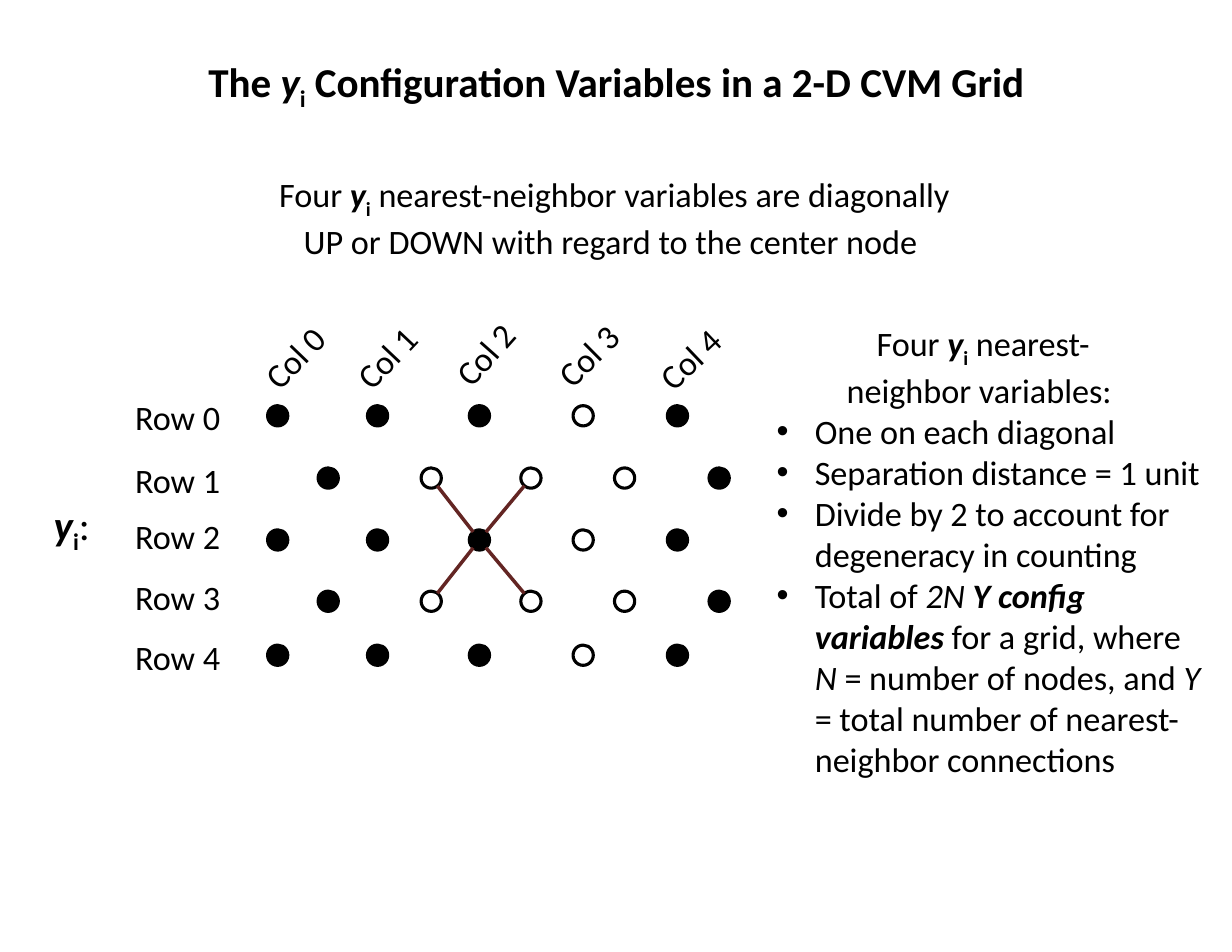
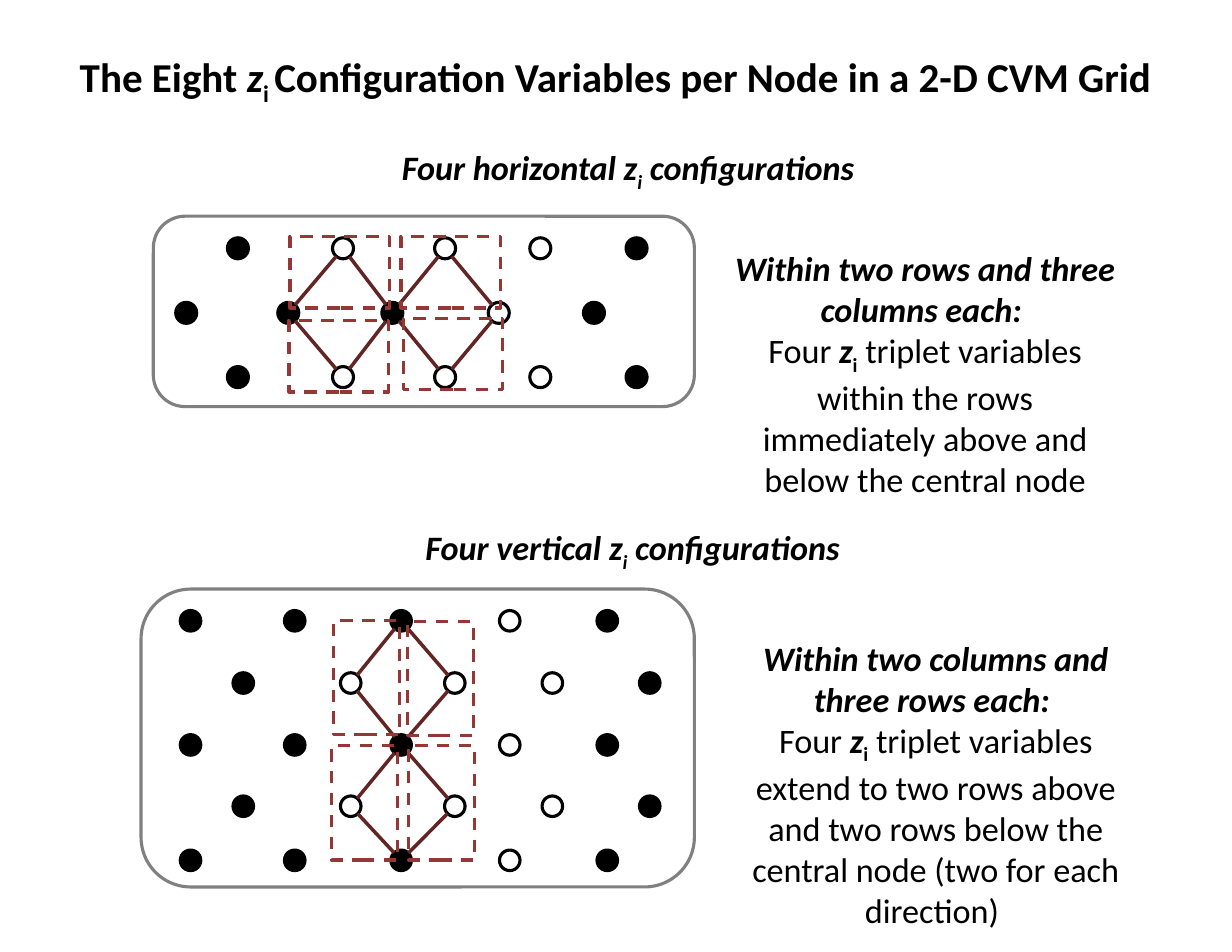
"""Build two slides on the y and z configuration variables of a 2-D CVM grid."""
from dataclasses import dataclass
from math import hypot
from typing import NamedTuple, Optional

from lxml import etree
from pptx import Presentation
from pptx import util as u
from pptx.dml import color
from pptx.enum import dml, shapes, text
from pptx.oxml import ns
from pptx.shapes import autoshape, base, shapetree
from pptx.slide import Slide
from pptx.text import text as txt

FONT = "Calibri"
INK, LINK, TRIPLET, FRAME = "000000", "632523", "953735", "808080"
TITLE_SIZE, BODY_SIZE = 26.4, 22
TITLE_AND_BODY, TITLE_ONLY = 1, 5
CENTER, LEFT = text.PP_ALIGN.CENTER, text.PP_ALIGN.LEFT
FILLED = {0: (True, True, True, False, True), 1: (True, False, False, False, True)}


class Box(NamedTuple):
    left: float
    top: float
    width: float
    height: float


class Run(NamedTuple):
    words: str
    bold: bool = False
    italic: bool = False
    sub: bool = False
    size: Optional[float] = None


class Node(NamedTuple):
    row: int
    col: int


Paragraph = list[Run]


@dataclass
class Grid:
    even_lefts: tuple[float, ...]
    odd_lefts: tuple[float, ...]
    tops: tuple[float, ...]
    size: float
    links: list[tuple[Node, Node]]
    first_row: int = 0

    def corner(self, node: Node) -> tuple[float, float]:
        odd = (node.row + self.first_row) % 2
        return (self.odd_lefts if odd else self.even_lefts)[node.col], self.tops[node.row]


def rgb(hex_code: str) -> color.RGBColor:
    return color.RGBColor.from_string(hex_code)


def symbol(letter: str) -> Paragraph:
    return [Run(letter, bold=True, italic=True), Run("i", bold=True, sub=True)]


def place(shape: base.BaseShape, box: Box) -> None:
    shape.left, shape.top, shape.width, shape.height = (u.Pt(length) for length in box)


def write(frame: txt.TextFrame, paragraphs: list[Paragraph], align: text.PP_ALIGN,
          size: float = BODY_SIZE, wrap: bool = True) -> None:
    frame.word_wrap = wrap
    frame.auto_size = text.MSO_AUTO_SIZE.SHAPE_TO_FIT_TEXT
    frame.vertical_anchor = text.MSO_ANCHOR.TOP
    for index, runs in enumerate(paragraphs):
        paragraph = frame.add_paragraph() if index else frame.paragraphs[0]
        paragraph.alignment = align
        paragraph.space_before = u.Pt(0)
        for part in runs:
            run = paragraph.add_run()
            run.text = part.words
            run.font.name = FONT
            run.font.size = u.Pt(part.size or size)
            run.font.bold, run.font.italic = part.bold, part.italic
            run.font.color.rgb = rgb(INK)
            if part.sub:
                run._r.get_or_add_rPr().set("baseline", "-25000")


def add_text(slide: Slide, box: Box, paragraphs: list[Paragraph], align: text.PP_ALIGN = CENTER,
             wrap: bool = True, rotation: float = 0) -> None:
    label = slide.shapes.add_textbox(*(u.Pt(length) for length in box))
    label.rotation = rotation
    write(label.text_frame, paragraphs, align, wrap=wrap)


def add_slide(prs: Presentation, layout: int, box: Box, title: Paragraph) -> Slide:
    slide = prs.slides.add_slide(prs.slide_layouts[layout])
    place(slide.shapes.title, box)
    write(slide.shapes.title.text_frame, [title], CENTER, TITLE_SIZE)
    return slide


def add_list(slide: Slide, box: Box, items: list[Paragraph], indent: float) -> None:
    body = slide.placeholders[1]
    place(body, box)
    write(body.text_frame, items, LEFT)
    for properties in body.element.iter(ns.qn("a:pPr")):
        properties.set("marL", str(u.Pt(indent)))
        properties.set("indent", str(-u.Pt(indent)))


def add_outline(tree: shapetree.GroupShapes, kind: shapes.MSO_SHAPE, box: Box, line: str,
                fill: Optional[str] = None, dashed: bool = False) -> autoshape.Shape:
    outline = tree.add_shape(kind, *(u.Pt(length) for length in box))
    outline.shadow.inherit = False
    outline.line.color.rgb = rgb(line)
    outline.line.width = u.Pt(2)
    if dashed:
        outline.line.dash_style = dml.MSO_LINE.DASH
    if fill:
        outline.fill.solid()
        outline.fill.fore_color.rgb = rgb(fill)
    else:
        outline.fill.background()
    return outline


def add_link(tree: shapetree.GroupShapes, grid: Grid, start: Node, end: Node) -> None:
    radius = grid.size / 2
    (x1, y1), (x2, y2) = ((x + radius, y + radius) for x, y in map(grid.corner, (start, end)))
    trim = radius / hypot(x2 - x1, y2 - y1)
    dx, dy = (x2 - x1) * trim, (y2 - y1) * trim
    ends = (x1 + dx, y1 + dy, x2 - dx, y2 - dy)
    link = tree.add_connector(shapes.MSO_CONNECTOR.STRAIGHT, *(u.Pt(value) for value in ends))
    link.line.color.rgb = rgb(LINK)
    link.line.width = u.Pt(2.25)
    etree.SubElement(link.element.spPr, ns.qn("a:effectLst"))


def add_grid(tree: shapetree.GroupShapes, grid: Grid) -> None:
    for row in range(len(grid.tops)):
        for col, filled in enumerate(FILLED[(row + grid.first_row) % 2]):
            box = Box(*grid.corner(Node(row, col)), grid.size, grid.size)
            add_outline(tree, shapes.MSO_SHAPE.OVAL, box, INK, INK if filled else None)
    for start, end in grid.links:
        add_link(tree, grid, start, end)


def add_framed_grid(slide: Slide, grid: Grid, frame: Box, triplets: list[Box]) -> None:
    tree = slide.shapes.add_group_shape().shapes
    add_grid(tree, grid)
    for triplet in triplets:
        add_outline(tree, shapes.MSO_SHAPE.RECTANGLE, triplet, TRIPLET, dashed=True)
    add_outline(tree, shapes.MSO_SHAPE.ROUNDED_RECTANGLE, frame, FRAME)


def add_z_text(slide: Slide, direction: str, heading: Box, note: Box, scope: str,
               reach: str) -> None:
    slanted = {"bold": True, "italic": True}
    add_text(slide, heading, [[Run(f"Four {direction} z", **slanted),
                               Run("i", sub=True, **slanted),
                               Run(" configurations", **slanted)]], LEFT, wrap=False)
    add_text(slide, note, [[Run(scope, **slanted)],
                           [Run("Four "), *symbol("z"), Run(f" triplet variables {reach}")]])


def build_y_slide(prs: Presentation) -> None:
    slide = add_slide(prs, TITLE_AND_BODY, Box(124, 32.5, 545, 39.5), [
        Run("The ", bold=True), *symbol("y"),
        Run(" Configuration Variables in a 2-D CVM Grid", bold=True)])
    add_list(slide, Box(492, 260, 293, 247), [
        [Run("One on each diagonal")],
        [Run("Separation distance = 1 unit")],
        [Run("Divide by 2 to account for degeneracy in counting")],
        [Run("Total of "), Run("2N ", italic=True),
         Run("Y config variables ", bold=True, italic=True),
         Run("for a grid, where "), Run("N", italic=True),
         Run(" = number of nodes, and "), Run("Y ", italic=True),
         Run("= total number of nearest-neighbor connections")]], 24.6)

    center = Node(2, 2)
    add_grid(slide.shapes, Grid(
        (172, 236.2, 301.7, 368.4, 429), (204.5, 270.7, 334.8, 395, 455.8),
        (260.8, 300.8, 340.6, 380, 414.7), 13,
        [(Node(row, col), center) for row in (1, 3) for col in (1, 2)]))

    for row, top in enumerate((251.3, 291.6, 327.6, 367.2, 405.4)):
        add_text(slide, Box(79.7, top, 70, 34), [[Run(f"Row {row}")]], LEFT, wrap=False)
    columns = ((159.8, 212.4, 313.9), (218.9, 212.4, 313.3), (282.2, 210.2, 311.6),
               (348.5, 211, 315.2), (414, 213.1, 316.4))
    for col, (left, top, rotation) in enumerate(columns):
        add_text(slide, Box(left, top, 59.8, 34), [[Run(f"Col {col}")]], LEFT, False, rotation)

    add_text(slide, Box(520, 203.8, 224, 60.5), [
        [Run("Four "), *symbol("y"), Run(" nearest-neighbor variables: ")]])
    add_text(slide, Box(21.6, 317.5, 54, 39.5), [
        [*(part._replace(size=TITLE_SIZE) for part in symbol("y")),
         Run(":", size=TITLE_SIZE), Run(" ")]])
    add_text(slide, Box(162, 108, 466, 60.5), [
        [Run("Four "), *symbol("y"), Run(" nearest-neighbor variables are diagonally UP or DOWN "
                                         "with regard to the center node ")]])


def build_z_slide(prs: Presentation) -> None:
    slide = add_slide(prs, TITLE_ONLY, Box(29.5, 29.5, 733, 39.5), [
        Run("The Eight ", bold=True), Run("z", bold=True, italic=True),
        Run("i ", bold=True, sub=True),
        Run("Configuration Variables per Node in a 2-D CVM Grid", bold=True)])

    horizontal = Grid(
        (113, 178.6, 245.5, 313.9, 375.1), (146.2, 213.8, 279.4, 340.6, 402.5),
        (152.9, 194.4, 235.7), 13.5,
        [(Node(row, col), Node(1, col + side))
         for row in (0, 2) for col in (1, 2) for side in (0, 1)], first_row=1)
    add_framed_grid(slide, horizontal, Box(98.6, 139, 347.8, 122.4), [
        Box(left, top, 64, 46)
        for left, top in ((186.5, 152), (185.8, 206), (257.8, 152), (259.2, 204.5))])

    vertical = Grid(
        (115.9, 182.9, 251.3, 321.1, 383.8), (149.8, 218.9, 285.8, 348.5, 411.1),
        (392.5, 432.5, 472.3, 511.7, 546.5), 13.2,
        [(Node(row, col), Node(row + side, 2))
         for row in (1, 3) for col in (1, 2) for side in (-1, 1)])
    add_framed_grid(slide, vertical, Box(90.7, 378.7, 355.7, 191.5), [
        Box(left, top, 42.5, 73.4)
        for left, top in ((214.6, 399), (262.1, 399.6), (262.8, 479.5), (213.1, 479.5))])

    add_z_text(slide, "horizontal", Box(251.3, 90.7, 309.6, 34), Box(463.7, 155.5, 262, 167),
               "Within two rows and three columns each: ",
               "within the rows immediately above and below the central node")
    add_z_text(slide, "vertical", Box(266.4, 334.8, 285, 34), Box(463.7, 406, 275.8, 193.7),
               "Within two columns and three rows each: ",
               "extend to two rows above and two rows below the central node "
               "(two for each direction) ")


def main() -> None:
    prs = Presentation()
    prs.slide_width, prs.slide_height = u.Pt(792), u.Pt(612)
    build_y_slide(prs)
    build_z_slide(prs)
    prs.save("out.pptx")


if __name__ == "__main__":
    main()
